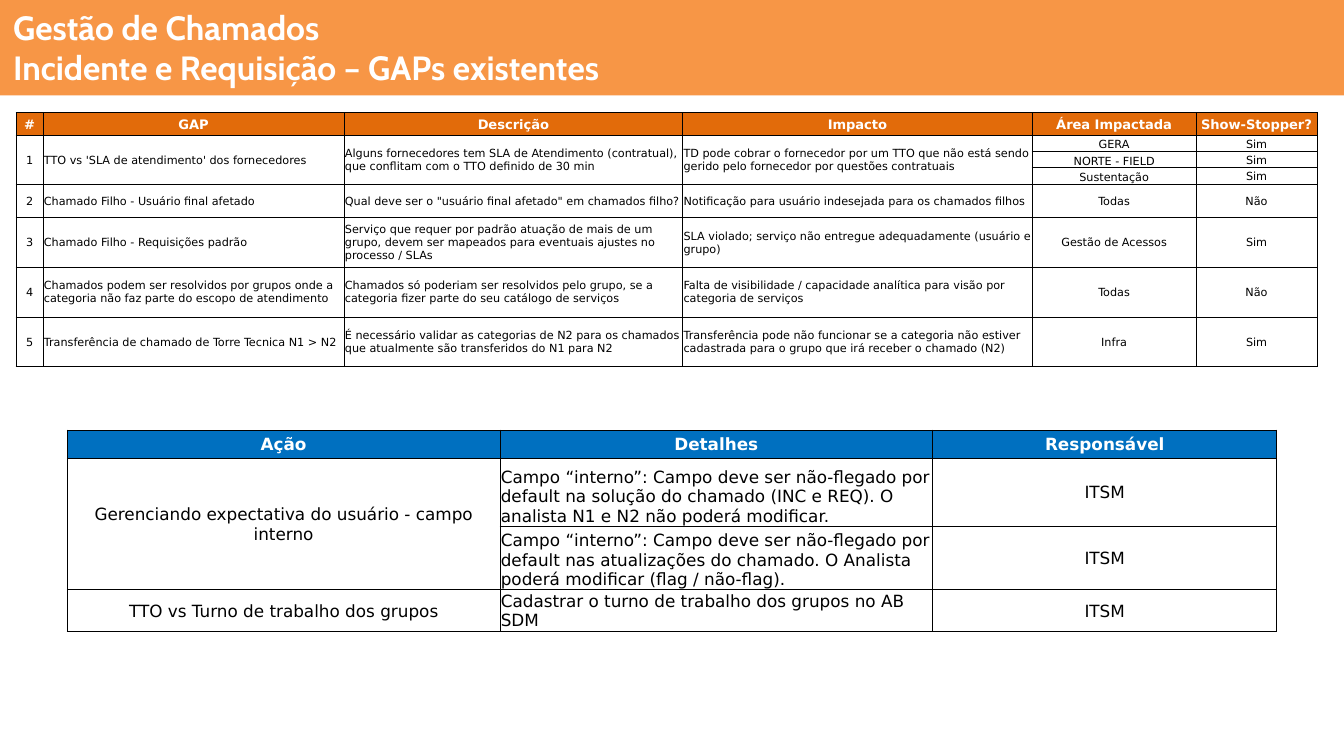
"""Build the slide of gaps and actions for incident and request management."""
from lxml.etree import SubElement
from pptx import Presentation
from pptx.dml.color import RGBColor
from pptx.enum.shapes import MSO_SHAPE
from pptx.enum.text import MSO_ANCHOR, MSO_AUTO_SIZE, PP_ALIGN
from pptx.oxml.ns import qn
from pptx.util import Inches, Pt

TITLE = ["Gestão de Chamados", "Incidente e Requisição – GAPs existentes"]

GAPS = {
    "place": (0.12, 0.84),
    "columns": [0.2, 2.24, 2.52, 2.6, 1.22, 0.9],
    "rows": [0.17, 0.12, 0.12, 0.12, 0.25, 0.37, 0.37, 0.37],
    "look": "gaps",
    "left_columns": {1, 2, 3},
    "bottom_cells": {(2, 4), (3, 4)},
    "cells": [
        ["#", "GAP", "Descrição", "Impacto", "Área Impactada", "Show-Stopper?"],
        ["1", "TTO vs 'SLA de atendimento' dos fornecedores",
         "Alguns fornecedores tem SLA de Atendimento (contratual), que conflitam com o TTO definido de 30 min",
         "TD pode cobrar o fornecedor por um TTO que não está sendo gerido pelo fornecedor por questões contratuais",
         "GERA", "Sim"],
        [None, None, None, None, "NORTE - FIELD", "Sim"],
        [None, None, None, None, "Sustentação", "Sim"],
        ["2", "Chamado Filho - Usuário final afetado",
         'Qual deve ser o "usuário final afetado" em chamados filho?',
         "Notificação para usuário indesejada para os chamados filhos", "Todas", "Não"],
        ["3", "Chamado Filho - Requisições padrão",
         "Serviço que requer por padrão atuação de mais de um grupo, devem ser mapeados para eventuais "
         "ajustes no processo / SLAs",
         "SLA violado; serviço não entregue adequadamente (usuário e grupo)", "Gestão de Acessos", "Sim"],
        ["4", "Chamados podem ser resolvidos por grupos onde a categoria não faz parte do escopo de atendimento",
         "Chamados só poderiam ser resolvidos pelo grupo, se a categoria fizer parte do seu catálogo de serviços",
         "Falta de visibilidade / capacidade analítica para visão por categoria de serviços", "Todas", "Não"],
        ["5", "Transferência de chamado de Torre Tecnica N1 > N2",
         "É necessário validar as categorias de N2 para os chamados que atualmente são transferidos do N1 para N2",
         "Transferência pode não funcionar se a categoria não estiver cadastrada para o grupo que irá receber "
         "o chamado (N2)", "Infra", "Sim"],
    ],
}

ACTIONS = {
    "place": (0.5, 3.2),
    "columns": [3.22, 3.22, 2.56],
    "rows": [0.21, 0.51, 0.47, 0.31],
    "look": "actions",
    "left_columns": {1},
    "bottom_cells": {(1, 1), (2, 1)},
    "cells": [
        ["Ação", "Detalhes", "Responsável"],
        ["Gerenciando expectativa do usuário - campo interno",
         "Campo “interno”: Campo deve ser não-flegado por default na solução do chamado (INC e REQ). "
         "O analista N1 e N2 não poderá modificar.", "ITSM"],
        [None,
         "Campo “interno”: Campo deve ser não-flegado por default nas atualizações do chamado. "
         "O Analista poderá modificar (flag / não-flag).", "ITSM"],
        ["TTO vs Turno de trabalho dos grupos", "Cadastrar o turno de trabalho dos grupos no AB SDM", "ITSM"],
    ],
}

THEME = {
    "banner": "F79646",
    "border": "000000",
    "title": {"name": "Cabin", "size": Pt(18), "bold": True, "color": "FFFFFF"},
    "header": {"name": "DejaVu Sans", "bold": True, "color": "FFFFFF"},
    "body": {"name": "DejaVu Sans", "bold": False, "color": "000000"},
    "gaps": {"fill": "E26B0A", "header_size": Pt(7), "body_size": Pt(6)},
    "actions": {"fill": "0070C0", "header_size": Pt(9), "body_size": Pt(9)},
}
CELL_MARGINS = {"margin_left": Pt(0.5), "margin_right": Pt(0.5),
                "margin_top": Pt(0.5), "margin_bottom": 0}


def set_attributes(target, values):
    """Set each named value on the target."""
    for name, value in values.items():
        setattr(target, name, value)


def add_text(paragraph, text, style, alignment):
    """Add one styled run to a paragraph."""
    paragraph.alignment = alignment
    run = paragraph.add_run()
    run.text = text
    set_attributes(run.font, {name: value for name, value in style.items() if name != "color"})
    run.font.color.rgb = RGBColor.from_string(style["color"])


def add_borders(cell):
    """Draw a thin line on all four sides of a cell."""
    properties = cell._tc.get_or_add_tcPr()
    for side in ("a:lnL", "a:lnR", "a:lnT", "a:lnB"):
        line = SubElement(properties, qn(side), w=str(int(Pt(0.5))))
        fill = SubElement(line, qn("a:solidFill"))
        SubElement(fill, qn("a:srgbClr"), val=THEME["border"])


def add_banner(slide, width, height):
    """Add the title band across the top of the slide."""
    shape = slide.shapes.add_shape(MSO_SHAPE.RECTANGLE, 0, 0, width, height)
    shape.shadow.inherit = False
    shape.fill.solid()
    shape.fill.fore_color.rgb = RGBColor.from_string(THEME["banner"])
    shape.line.fill.background()
    frame = shape.text_frame
    set_attributes(frame, {"word_wrap": True, "auto_size": MSO_AUTO_SIZE.SHAPE_TO_FIT_TEXT,
                           "vertical_anchor": MSO_ANCHOR.TOP})
    for index, text in enumerate(TITLE):
        paragraph = frame.add_paragraph() if index else frame.paragraphs[0]
        add_text(paragraph, text, THEME["title"], PP_ALIGN.LEFT)


def add_grid(slide, content):
    """Add a table, merging each empty cell into the one above it."""
    columns, rows, cells = content["columns"], content["rows"], content["cells"]
    look = THEME[content["look"]]
    left, top = map(Inches, content["place"])
    table = slide.shapes.add_table(len(rows), len(columns), left, top,
                                   Inches(sum(columns)), Inches(sum(rows))).table
    set_attributes(table, {"first_row": False, "horz_banding": False})
    for column, width in zip(table.columns, columns):
        column.width = Inches(width)
    for row, height in zip(table.rows, rows):
        row.height = Inches(height)
    for row, texts in enumerate(cells):
        role = "body" if row else "header"
        style = {**THEME[role], "size": look[role + "_size"]}
        for column, text in enumerate(texts):
            cell = table.cell(row, column)
            bottom = (row, column) in content["bottom_cells"]
            set_attributes(cell, {**CELL_MARGINS,
                                  "vertical_anchor": MSO_ANCHOR.BOTTOM if bottom else MSO_ANCHOR.MIDDLE})
            add_borders(cell)
            if row:
                cell.fill.background()
            else:
                cell.fill.solid()
                cell.fill.fore_color.rgb = RGBColor.from_string(look["fill"])
            paragraph = cell.text_frame.paragraphs[0]
            if text is None:
                SubElement(paragraph._p, qn("a:endParaRPr"), sz=str(int(style["size"].pt * 100)))
                continue
            is_left = row and column in content["left_columns"]
            add_text(paragraph, text, style, PP_ALIGN.LEFT if is_left else PP_ALIGN.CENTER)
            last = row
            while last + 1 < len(cells) and cells[last + 1][column] is None:
                last += 1
            if last > row:
                cell.merge(table.cell(last, column))


def main():
    """Build and save the presentation."""
    presentation = Presentation()
    width = Inches(10)
    set_attributes(presentation, {"slide_width": width, "slide_height": width * 9 // 16})
    slide = presentation.slides.add_slide(presentation.slide_layouts[6])
    add_banner(slide, width, Inches(0.71))
    for content in (GAPS, ACTIONS):
        add_grid(slide, content)
    presentation.save("out.pptx")


if __name__ == "__main__":
    main()
